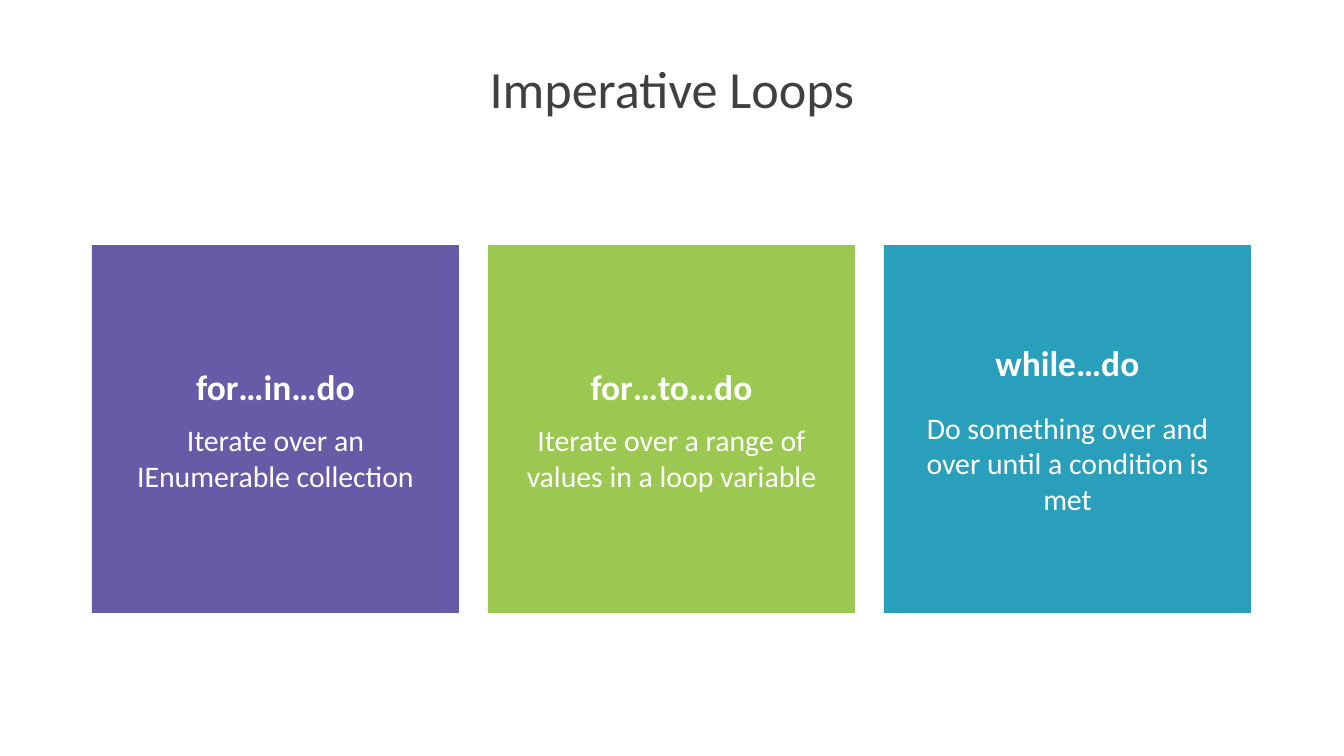
from pptx import Presentation
from pptx import util as u
from pptx.dml.color import RGBColor
from pptx.enum import shapes, text

PIXEL = u.Inches(1) / 100.8
FONT = "Calibri"
WHITE = RGBColor(0xFF, 0xFF, 0xFF)
DARK_GRAY = RGBColor(0x40, 0x40, 0x40)
PURPLE = RGBColor(0x67, 0x5B, 0xA7)
GREEN = RGBColor(0x9B, 0xC8, 0x50)
TEAL = RGBColor(0x2A, 0x9F, 0xBC)

CARD_LEFT, CARD_TOP = 92, 245
CARD_WIDTH, CARD_HEIGHT = 367, 368
CARD_PITCH = 396


def px(*lengths):
    """Turn pixel lengths into a list of EMU lengths."""
    return [u.Emu(round(length * PIXEL)) for length in lengths]


def write(paragraph, words, size, color, bold=False, before=0, line_spacing=1.0):
    """Fill a paragraph with one centred, formatted run."""
    paragraph.alignment = text.PP_ALIGN.CENTER
    paragraph.space_before = u.Pt(before)
    paragraph.line_spacing = line_spacing
    run = paragraph.add_run()
    run.text = words
    run.font.name = FONT
    run.font.size = u.Pt(size)
    run.font.bold = bold
    run.font.color.rgb = color


presentation = Presentation()
presentation.slide_width, presentation.slide_height = px(1344, 756)
slide = presentation.slides.add_slide(presentation.slide_layouts[6])

title = slide.shapes.add_textbox(*px(92, 62, 1160, 60)).text_frame
title.word_wrap = True
title.vertical_anchor = text.MSO_ANCHOR.MIDDLE
write(title.paragraphs[0], "Imperative Loops", size=37.3, color=DARK_GRAY,
      line_spacing=0.9)

# Heading, description, fill, space above the description in points
loops = [
    ("for…in…do", "Iterate over an IEnumerable collection", PURPLE, 10),
    ("for…to…do", "Iterate over a range of values in a loop variable", GREEN, 10),
    ("while…do", "Do something over and over until a condition is met", TEAL, 18),
]
for column, (heading, description, fill, gap) in enumerate(loops):
    card = slide.shapes.add_shape(
        shapes.MSO_SHAPE.RECTANGLE,
        *px(CARD_LEFT + column * CARD_PITCH, CARD_TOP, CARD_WIDTH, CARD_HEIGHT))
    card.shadow.inherit = False
    card.fill.solid()
    card.fill.fore_color.rgb = fill
    card.line.fill.background()
    frame = card.text_frame
    frame.word_wrap = True
    frame.vertical_anchor = text.MSO_ANCHOR.MIDDLE
    (frame.margin_left, frame.margin_top,
     frame.margin_right, frame.margin_bottom) = px(20, 20, 20, 20)
    write(frame.paragraphs[0], heading, size=25.3, color=WHITE, bold=True, before=18)
    write(frame.add_paragraph(), description, size=21.3, color=WHITE, before=gap)

presentation.save("out.pptx")
